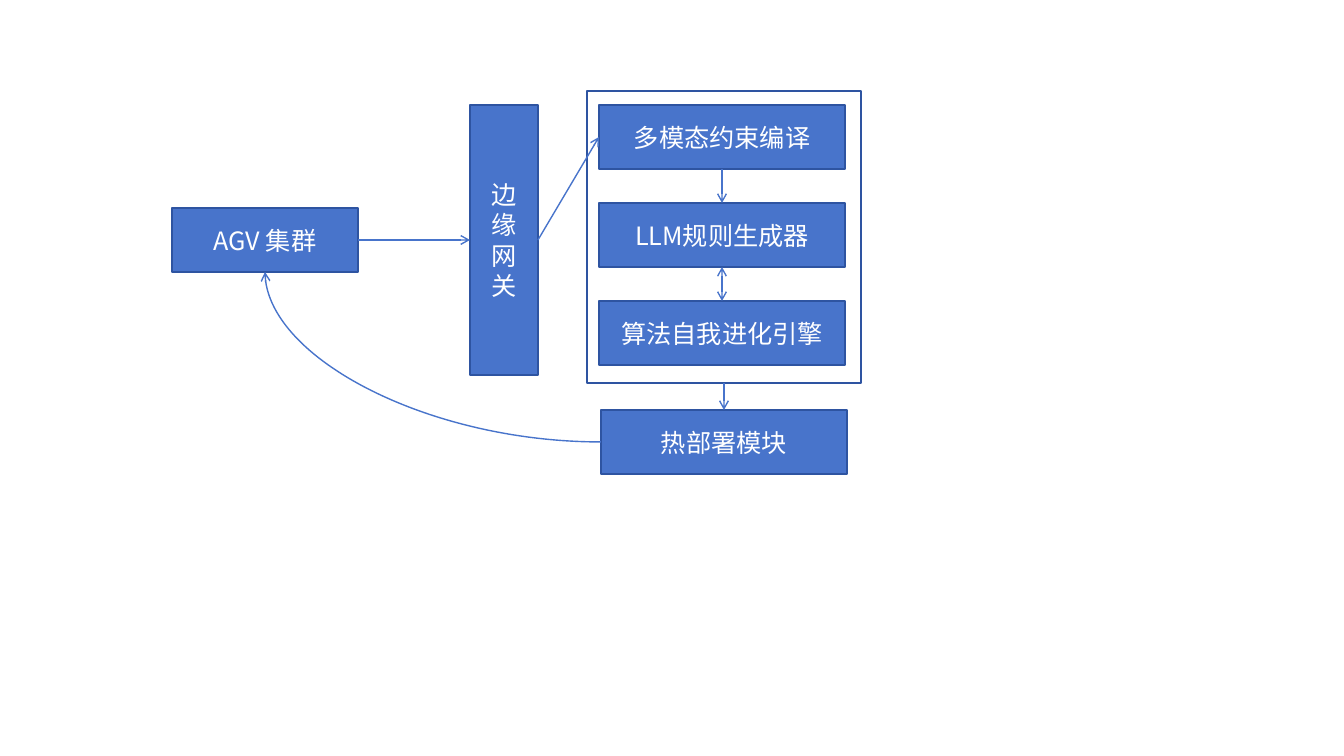
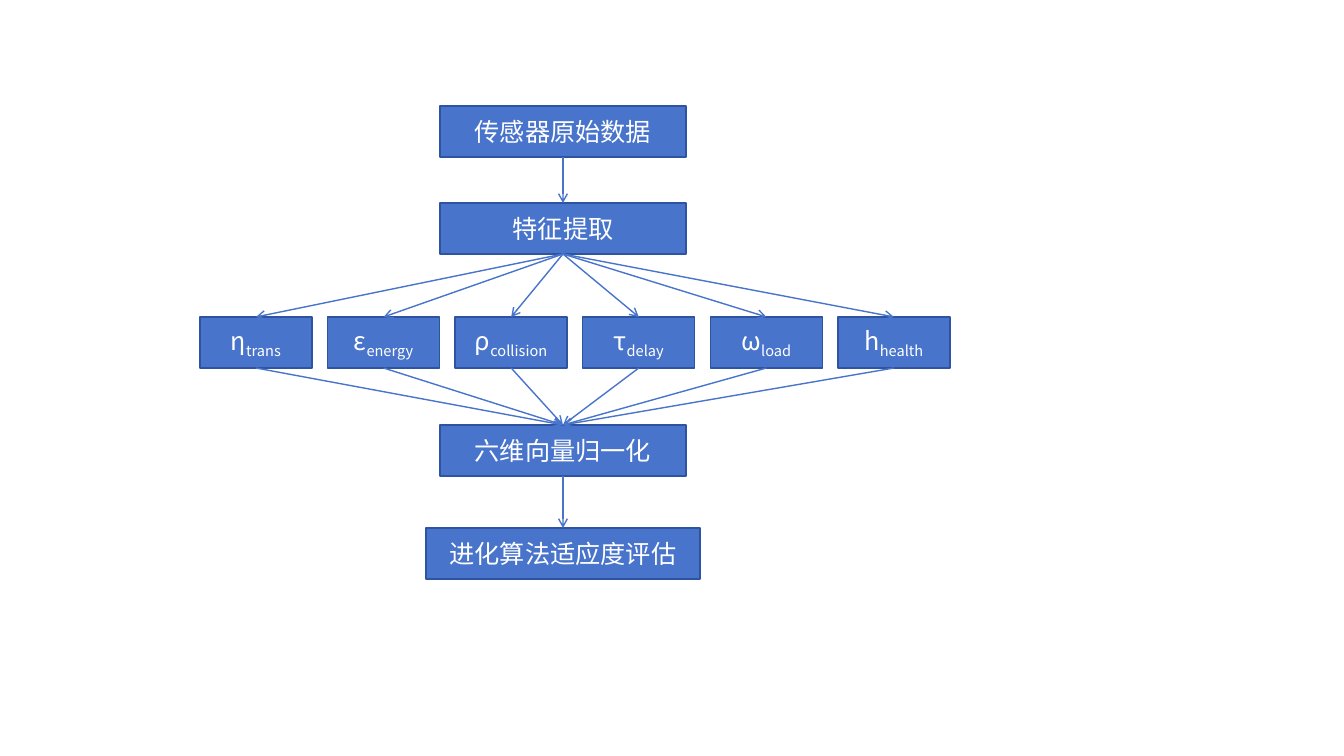
import pptx
import pptx.util
import pptx.dml.color
import pptx.enum.shapes
import pptx.enum.text
import pptx.oxml.ns
from lxml import etree

PX = 914400 / 100.8
FONT = "Noto Sans CJK JP"
COLORS = {"fill": "4874CB", "outline": "2E54A1", "arrow": "4874CB", "text": "FFFFFF"}
TOP, LEFT, BOTTOM, RIGHT = range(4)

STAGES = ["多模态约束编译", "LLM规则生成器", "算法自我进化引擎"]
STAGE_LEFT, STAGE_TOP, STAGE_PITCH = 599, 105, 98
STAGE_SIZE = (246, 64)

STEPS = [
    ("传感器原始数据", 106, 246),
    ("特征提取", 203, 246),
    ("六维向量归一化", 425, 246),
    ("进化算法适应度评估", 528, 274),
]
STEP_CENTER, STEP_HEIGHT = 563, 51
METRICS = [
    ("η", "trans"),
    ("ε", "energy"),
    ("ρ", "collision"),
    ("τ", "delay"),
    ("ω", "load"),
    ("h", "health"),
]
METRIC_FIRST, METRIC_LAST, METRIC_TOP, METRIC_WIDTH = 200, 838, 317, 112


def emu(px):
    return pptx.util.Emu(round(px * PX))


def color(key):
    return pptx.dml.color.RGBColor.from_string(COLORS[key])


def add_xml(parent, tag, **attributes):
    return etree.SubElement(parent, pptx.oxml.ns.qn(tag), attributes)


def style_run(run):
    run.font.size = pptx.util.Pt(18)
    run.font.name = FONT
    run.font.color.rgb = color("text")
    add_xml(run._r.get_or_add_rPr(), "a:ea", typeface=FONT)


def add_box(slide, left, top, width, height, label="", subscript=""):
    box = slide.shapes.add_shape(
        pptx.enum.shapes.MSO_SHAPE.RECTANGLE, emu(left), emu(top), emu(width), emu(height)
    )
    box.shadow.inherit = False
    box.line.color.rgb = color("outline")
    box.line.width = pptx.util.Pt(1)
    if not label:
        box.fill.background()
        return box
    box.fill.solid()
    box.fill.fore_color.rgb = color("fill")
    box.text_frame.word_wrap = True
    box.text_frame.vertical_anchor = pptx.enum.text.MSO_ANCHOR.MIDDLE
    paragraph = box.text_frame.paragraphs[0]
    paragraph.alignment = pptx.enum.text.PP_ALIGN.CENTER
    for text in filter(None, (label, subscript)):
        run = paragraph.add_run()
        run.text = text
        style_run(run)
    if subscript:
        run._r.get_or_add_rPr().set("baseline", "-25000")
    return box


def side_point(box, side):
    middle_x, middle_y = box.left + box.width // 2, box.top + box.height // 2
    return {
        TOP: (middle_x, box.top),
        LEFT: (box.left, middle_y),
        BOTTOM: (middle_x, box.top + box.height),
        RIGHT: (box.left + box.width, middle_y),
    }[side]


def add_arrow(slide, source, source_side, target, target_side, both_ways=False, curved=False):
    kinds = pptx.enum.shapes.MSO_CONNECTOR
    arrow = slide.shapes.add_connector(
        kinds.CURVE if curved else kinds.STRAIGHT,
        *side_point(source, source_side),
        *side_point(target, target_side),
    )
    arrow.begin_connect(source, source_side)
    arrow.end_connect(target, target_side)
    arrow.line.color.rgb = color("arrow")
    arrow.line.width = pptx.util.Pt(1)
    properties = arrow._element.spPr
    if curved:
        properties.find(pptx.oxml.ns.qn("a:prstGeom")).set("prst", "curvedConnector2")
    line = properties.find(pptx.oxml.ns.qn("a:ln"))
    if both_ways:
        add_xml(line, "a:headEnd", type="arrow")
    add_xml(line, "a:tailEnd", type="arrow")
    add_xml(properties, "a:effectLst")


def build_architecture(slide):
    platform = add_box(slide, 587, 91, 274, 292)
    fleet = add_box(slide, 172, 208, 186, 64, "AGV 集群")
    gateway = add_box(slide, 470, 105, 68, 270, "边缘网关")
    compiler, generator, engine = [
        add_box(slide, STAGE_LEFT, STAGE_TOP + i * STAGE_PITCH, *STAGE_SIZE, label)
        for i, label in enumerate(STAGES)
    ]
    deployment = add_box(slide, 601, 410, *STAGE_SIZE, "热部署模块")

    add_arrow(slide, fleet, RIGHT, gateway, LEFT)
    add_arrow(slide, gateway, RIGHT, compiler, LEFT)
    add_arrow(slide, compiler, BOTTOM, generator, TOP)
    add_arrow(slide, generator, BOTTOM, engine, TOP, both_ways=True)
    add_arrow(slide, platform, BOTTOM, deployment, TOP)
    add_arrow(slide, deployment, LEFT, fleet, BOTTOM, curved=True)


def build_fitness(slide):
    sensors, extraction, normalization, evaluation = [
        add_box(slide, STEP_CENTER - width / 2, top, width, STEP_HEIGHT, label)
        for label, top, width in STEPS
    ]
    pitch = (METRIC_LAST - METRIC_FIRST) / (len(METRICS) - 1)
    metrics = [
        add_box(slide, METRIC_FIRST + i * pitch, METRIC_TOP, METRIC_WIDTH, STEP_HEIGHT, *metric)
        for i, metric in enumerate(METRICS)
    ]

    links = [(sensors, extraction)]
    links += [(extraction, metric) for metric in metrics]
    links += [(metric, normalization) for metric in metrics]
    links.append((normalization, evaluation))
    for source, target in links:
        add_arrow(slide, source, BOTTOM, target, TOP)


def main():
    deck = pptx.Presentation()
    deck.slide_width, deck.slide_height = emu(1344), emu(756)
    for build in (build_architecture, build_fitness):
        build(deck.slides.add_slide(deck.slide_layouts[6]))
    deck.save("out.pptx")


if __name__ == "__main__":
    main()
